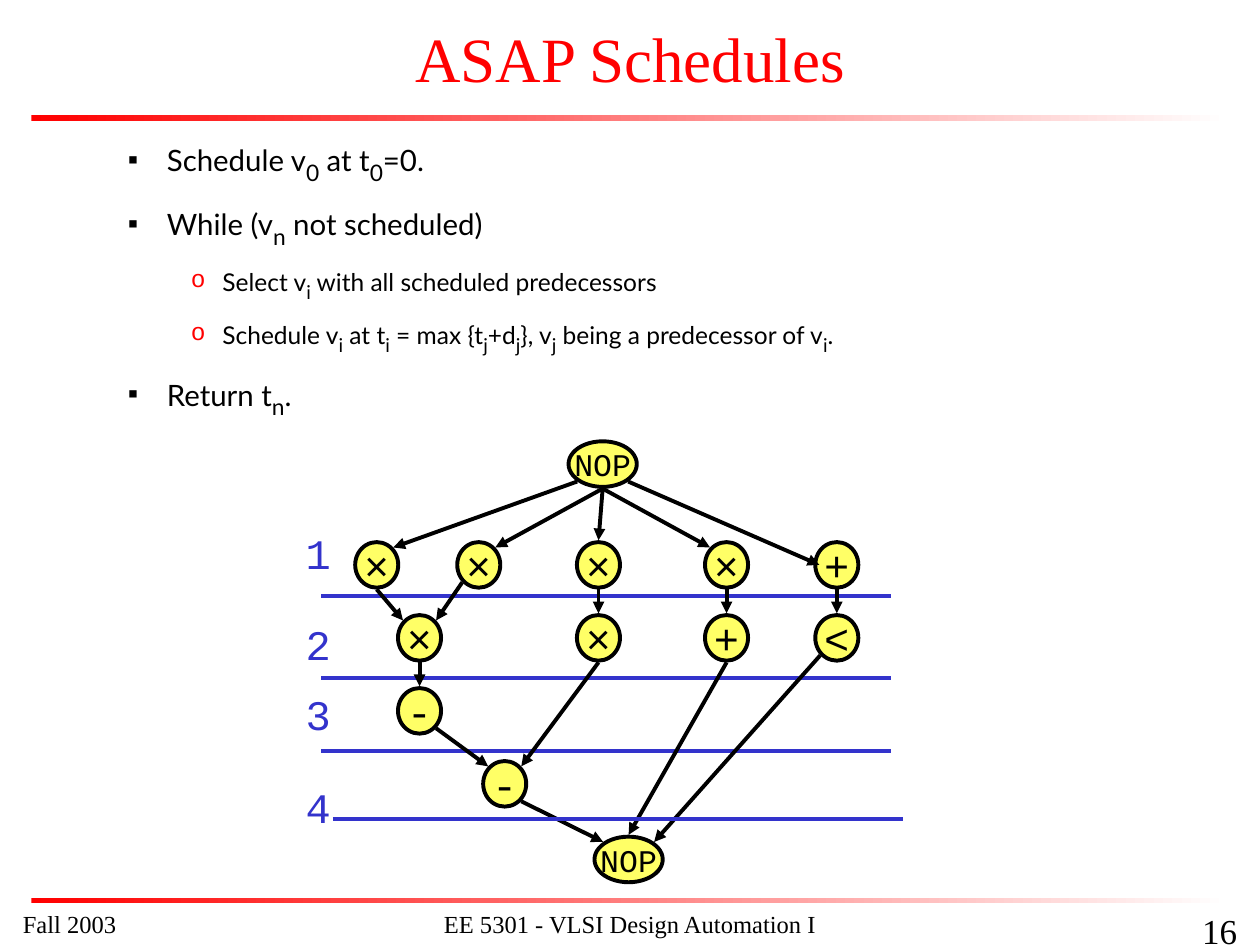
from dataclasses import dataclass

from pptx import Presentation
from pptx.dml.color import RGBColor
from pptx.enum.shapes import MSO_CONNECTOR, MSO_SHAPE
from pptx.enum.text import MSO_ANCHOR, PP_ALIGN
from pptx.oxml.ns import qn
from pptx.util import Inches, Pt
from lxml import etree

RED = RGBColor(0xFF, 0x00, 0x00)
WHITE = RGBColor(0xFF, 0xFF, 0xFF)
BLACK = RGBColor(0x00, 0x00, 0x00)
YELLOW = RGBColor(0xFF, 0xFF, 0x66)
BLUE = RGBColor(0x33, 0x33, 0xCC)
SERIF, SANS, MONO, SYMBOL = "Times New Roman", "Lato", "Courier New", "Arial"
LEFT, CENTER, RIGHT = PP_ALIGN.LEFT, PP_ALIGN.CENTER, PP_ALIGN.RIGHT
TOP, MIDDLE = MSO_ANCHOR.TOP, MSO_ANCHOR.MIDDLE
OVAL, RECTANGLE = MSO_SHAPE.OVAL, MSO_SHAPE.RECTANGLE
STRAIGHT = MSO_CONNECTOR.STRAIGHT
CELL = Inches(1) / 12
COLUMNS, ROWS = 120, 90
LINE_WIDTH = Pt(2.25)

NODE_SIZE, NOP_SIZE = (4.1, 4.34), (6.5, 4.34)
EDGE_GAP = 0.17
ANCHORS = {
    "top": (0, -1), "bottom": (0, 1), "left": (-0.75, 0),
    "top left": (-0.71, -0.71), "top right": (0.71, -0.71),
    "bottom left": (-0.71, 0.71), "bottom right": (0.71, 0.71),
}
NODES = {
    "source": ("NOP", 28.4, 2.2),
    "a1": ("×", 6.88, 11.8), "b1": ("×", 16.6, 11.8), "c1": ("×", 28, 11.8),
    "d1": ("×", 40.2, 11.8), "e1": ("+", 50.7, 11.8),
    "a2": ("×", 10.96, 18.75), "c2": ("×", 28, 18.75),
    "d2": ("+", 40.2, 18.75), "e2": ("<", 50.7, 18.75),
    "a3": ("-", 10.96, 25.7), "b4": ("-", 19.07, 32.65),
    "sink": ("NOP", 30.87, 39.85),
}
EDGES = [
    ("source", "bottom left", "a1", "top right"),
    ("source", "bottom", "b1", "top right"),
    ("source", "bottom", "c1", "top"),
    ("source", "bottom", "d1", "top left"),
    ("source", "bottom right", "e1", "left"),
    ("e1", "bottom", "e2", "top"),
    ("d1", "bottom", "d2", "top"),
    ("c1", "bottom", "c2", "top"),
    ("b1", "bottom left", "a2", "top right"),
    ("a1", "bottom", "a2", "top left"),
    ("a2", "bottom", "a3", "top"),
    ("c2", "bottom", "b4", "top right"),
    ("a3", "bottom right", "b4", "top left"),
    ("d2", "bottom", "sink", "top"),
    ("e2", "bottom left", "sink", "top right"),
    ("b4", "bottom right", "sink", "top left"),
]
STEPS = [("1", 8.2, 1.6, 14.8), ("2", 16.9, 1.6, 22.6),
         ("3", 23.6, 1.6, 29.5), ("4", 32.4, 2.7, 36)]
STEP_LENGTH = 54.3
ALGORITHM = [
    (1, "Schedule v_0_ at t_0_=0."),
    (1, "While (v_n_ not scheduled)"),
    (2, "Select v_i_ with all scheduled predecessors"),
    (2, "Schedule v_i_ at t_i_ = max {t_j_+d_j_}, v_j_ being a predecessor of v_i_."),
    (1, "Return t_n_."),
]
LEVELS = {
    1: dict(size=16.8, before=6, margin=0.81, hanging=0.31,
            bullet="▪", bullet_color=BLACK, bullet_font=SYMBOL),
    2: dict(size=14, before=5, margin=1.25, hanging=0.25,
            bullet="o", bullet_color=RED, bullet_font=MONO),
}


@dataclass
class Box:
    """Area of the slide measured in grid cells."""
    left: float
    top: float
    width: float
    height: float

    def inner(self, left, top, width, height):
        """Return a box placed relative to this one."""
        return Box(self.left + left, self.top + top, width, height)

    def lengths(self):
        """Return left, top, width and height as slide lengths."""
        return [round(value * CELL)
                for value in (self.left, self.top, self.width, self.height)]


def write_text(paragraph, text, *, size, font, color, align=LEFT):
    """Write text whose subscripts stand between underscores."""
    paragraph.alignment = align
    for index, part in enumerate(text.split("_")):
        run = paragraph.add_run()
        run.text = part
        run.font.name = font
        run.font.color.rgb = color
        run.font.size = Pt(size)
        if index % 2:
            run.font.size = Pt(round(size * 4 / 3, 1))
            run._r.get_or_add_rPr().set("baseline", "-25000")


def add_text(slide, box, text, *, anchor=TOP, inset=True, **text_format):
    """Add a text box holding one paragraph."""
    frame = slide.shapes.add_textbox(*box.lengths()).text_frame
    frame.word_wrap = inset
    frame.vertical_anchor = anchor
    if not inset:
        frame.margin_left = frame.margin_right = 0
        frame.margin_top = frame.margin_bottom = 0
    write_text(frame.paragraphs[0], text, **text_format)


def add_line(slide, start, end, color, arrow=False):
    """Add a straight line between two grid points."""
    points = [round(value * CELL) for value in (*start, *end)]
    line = slide.shapes.add_connector(STRAIGHT, *points)
    line.line.color.rgb = color
    line.line.width = LINE_WIDTH
    if arrow:
        etree.SubElement(line.line._get_or_add_ln(), qn("a:tailEnd"), type="triangle")
    etree.SubElement(line._element.spPr, qn("a:effectLst"))


def add_rule(slide, box):
    """Add a bar fading from red to white."""
    bar = slide.shapes.add_shape(RECTANGLE, *box.lengths())
    bar.shadow.inherit = False
    bar.line.fill.background()
    bar.fill.gradient()
    bar.fill.gradient_angle = 0
    for stop, color in zip(bar.fill.gradient_stops, (RED, WHITE)):
        stop.color.rgb = color


def set_bullet(paragraph, *, margin, hanging, bullet, bullet_color, bullet_font):
    """Give a paragraph a coloured bullet and a hanging indent."""
    properties = paragraph._p.get_or_add_pPr()
    properties.set("marL", str(Inches(margin)))
    properties.set("indent", str(-Inches(hanging)))
    color = etree.SubElement(properties, qn("a:buClr"))
    etree.SubElement(color, qn("a:srgbClr"), val=str(bullet_color))
    etree.SubElement(properties, qn("a:buFont"), typeface=bullet_font)
    etree.SubElement(properties, qn("a:buChar"), char=bullet)


def add_header(slide, box):
    """Add the title and the rule below it."""
    add_text(slide, box.inner(0, 1, box.width, 9), "ASAP Schedules", anchor=MIDDLE,
             size=36, font=SERIF, color=RED, align=CENTER)
    add_rule(slide, box.inner(3, 11, box.width - 6, 0.5))


def add_algorithm(slide, box):
    """Add the bulleted steps of the algorithm."""
    frame = slide.shapes.add_textbox(*box.lengths()).text_frame
    frame.word_wrap = True
    for index, (level, text) in enumerate(ALGORITHM):
        paragraph = frame.add_paragraph() if index else frame.paragraphs[0]
        style = dict(LEVELS[level])
        size = style.pop("size")
        paragraph.level = level
        paragraph.space_before = Pt(style.pop("before"))
        set_bullet(paragraph, **style)
        write_text(paragraph, text, size=size, font=SANS, color=BLACK)


def add_node(slide, box, symbol):
    """Add one operation of the graph."""
    node = slide.shapes.add_shape(OVAL, *box.lengths())
    node.shadow.inherit = False
    node.fill.solid()
    node.fill.fore_color.rgb = YELLOW
    node.line.color.rgb = BLACK
    node.line.width = LINE_WIDTH
    node.text_frame.word_wrap = False
    node.text_frame.vertical_anchor = MIDDLE
    write_text(node.text_frame.paragraphs[0], symbol, color=BLACK, align=CENTER,
               size=18 if symbol == "NOP" else 24,
               font=SYMBOL if symbol == "×" else MONO)


def anchor_point(box, side):
    """Return the point just outside an ellipse on the given side."""
    across, down = ANCHORS[side]
    return (box.left + box.width / 2 + across * (box.width / 2 + EDGE_GAP),
            box.top + box.height / 2 + down * (box.height / 2 + EDGE_GAP))


def add_step(slide, box, label, label_top, line_left, line_top):
    """Add a time step's number and closing line."""
    add_text(slide, box.inner(0.1, label_top, 2.3, 4.8), label, inset=False,
             size=24, font=MONO, color=BLUE)
    left, top = box.left + line_left, box.top + line_top
    add_line(slide, (left, top), (left + STEP_LENGTH, top), BLUE)


def add_graph(slide, box):
    """Add the scheduled sequencing graph."""
    places = {}
    for name, (symbol, center, middle) in NODES.items():
        width, height = NOP_SIZE if symbol == "NOP" else NODE_SIZE
        places[name] = box.inner(center - width / 2, middle - height / 2, width, height)
        add_node(slide, places[name], symbol)
    for step in STEPS[:-1]:
        add_step(slide, box, *step)
    for start, start_side, end, end_side in EDGES:
        add_line(slide, anchor_point(places[start], start_side),
                 anchor_point(places[end], end_side), BLACK, arrow=True)
    add_step(slide, box, *STEPS[-1])


def add_footer(slide, box):
    """Add the lower rule, date, course and page number."""
    add_rule(slide, box.inner(3, 0, box.width - 6, 0.5))
    for left, width, text, size, align in (
            (1, 25, "Fall 2003", 14, LEFT),
            (38, 44, "EE 5301 - VLSI Design Automation I", 14, CENTER),
            (94, 25, "16", 20, RIGHT)):
        add_text(slide, box.inner(left, 0.5, width, 3), text,
                 size=size, font=SERIF, color=BLACK, align=align)


def main():
    """Build the slide and save it."""
    presentation = Presentation()
    presentation.slide_width = round(COLUMNS * CELL)
    presentation.slide_height = round(ROWS * CELL)
    slide = presentation.slides.add_slide(presentation.slide_layouts[6])
    add_header(slide, Box(0, 0, COLUMNS, 12))
    add_algorithm(slide, Box(5, 12, 110, 25))
    add_graph(slide, Box(29, 42, 57, 42))
    add_footer(slide, Box(0, 85.5, COLUMNS, 4.5))
    presentation.save("out.pptx")


if __name__ == "__main__":
    main()
